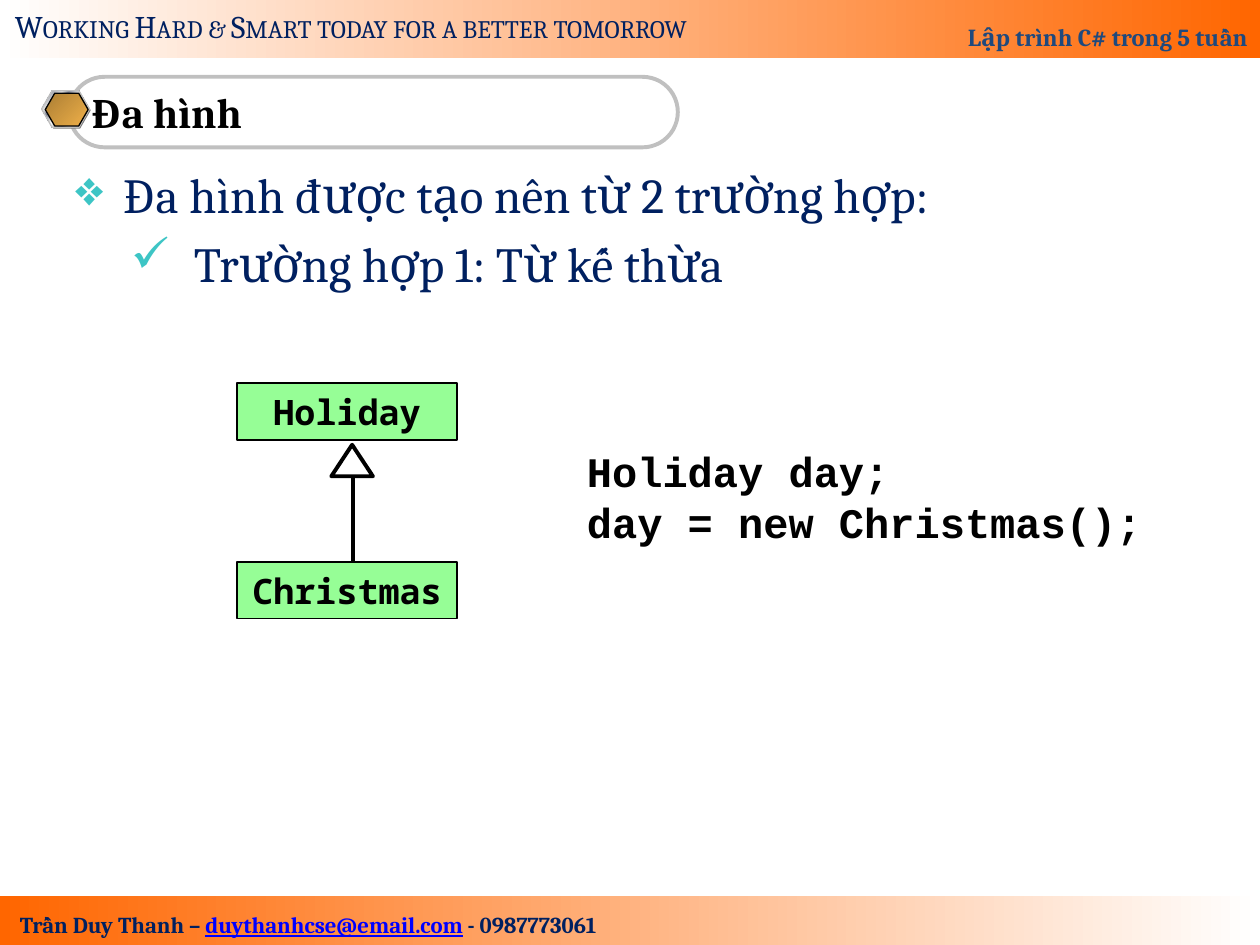
import dataclasses
import typing

import lxml.etree
import pptx
import pptx.dml.color
import pptx.enum.shapes
import pptx.enum.text
import pptx.oxml.ns
import pptx.util

SHAPES = pptx.enum.shapes.MSO_SHAPE
ALIGN = pptx.enum.text.PP_ALIGN
ANCHOR = pptx.enum.text.MSO_ANCHOR
CELL = 0.1  # the grid has 100 columns and 75 rows
qn = pptx.oxml.ns.qn

NAVY, BLACK, ORANGE, WHITE, SILVER = "002060", "000000", "FF6600", "FFFFFF", "C0C0C0"
METAL = [(0, "E6E6E6"), (7, "7D8496"), (26, "E6E6E6"), (34, "7D8496"), (46, "E6E6E6"),
         (50, WHITE), (54, "E6E6E6"), (66, "7D8496"), (74, "E6E6E6"), (93, "7D8496"),
         (100, "E6E6E6")]
Stops = list[tuple[int, str]]


@dataclasses.dataclass
class Frame:
    """A place on the grid, in columns and rows."""
    col: float
    row: float
    cols: float
    rows: float

    def lengths(self) -> list[int]:
        return [grid(n) for n in (self.col, self.row, self.cols, self.rows)]


@dataclasses.dataclass
class Look:
    """Fill, outline and adjustments of a shape."""
    fill: typing.Union[str, Stops, None] = None
    angle: int = 0
    line: typing.Optional[str] = None
    width: float = 1
    adjust: tuple = ()


@dataclasses.dataclass
class Style:
    """Character format."""
    size: float
    name: str = "Cambria"
    color: str = BLACK
    bold: bool = False
    underline: bool = False
    small_caps: bool = False


def grid(cells: float) -> int:
    return pptx.util.Inches(round(cells * CELL, 3))


def rgb(color: str) -> pptx.dml.color.RGBColor:
    return pptx.dml.color.RGBColor.from_string(color)


def set_all(target: typing.Any, values: dict) -> None:
    for key, value in values.items():
        setattr(target, key, value)


def paint_gradient(shape: typing.Any, stops: Stops, angle: int) -> None:
    shape.fill.gradient()
    shape.fill.gradient_angle = -angle % 360
    stop_list = next(shape._element.spPr.iter(qn("a:gsLst")))
    for stop in list(stop_list):
        stop_list.remove(stop)
    for position, color in stops:
        stop = lxml.etree.SubElement(stop_list, qn("a:gs"), pos=str(position * 1000))
        lxml.etree.SubElement(stop, qn("a:srgbClr"), val=color)


def draw_shape(page: typing.Any, kind: typing.Any, frame: Frame, look: Look) -> typing.Any:
    shape = page.shapes.add_shape(kind, *frame.lengths())
    shape.shadow.inherit = False
    for index, value in enumerate(look.adjust):
        shape.adjustments[index] = value
    if look.fill is None:
        shape.fill.background()
    elif isinstance(look.fill, str):
        shape.fill.solid()
        shape.fill.fore_color.rgb = rgb(look.fill)
    else:
        paint_gradient(shape, look.fill, look.angle)
    if look.line:
        shape.line.color.rgb = rgb(look.line)
        shape.line.width = pptx.util.Pt(look.width)
    else:
        shape.line.fill.background()
    return shape


def add_span(para: typing.Any, text: str, style: Style) -> None:
    span = para.add_run()
    span.text = text
    set_all(span.font, {"size": pptx.util.Pt(style.size), "name": style.name,
                        "bold": style.bold, "underline": style.underline})
    span.font.color.rgb = rgb(style.color)
    if style.small_caps:
        span._r.get_or_add_rPr().set("cap", "small")


def write(box: typing.Any, paras: list, wrap: bool = True, anchor: typing.Any = ANCHOR.TOP,
          **para_format: typing.Any) -> None:
    """Fill a box with paragraphs, each a list of (text, style) pairs."""
    set_all(box.text_frame, {"auto_size": pptx.enum.text.MSO_AUTO_SIZE.NONE,
                             "word_wrap": wrap, "vertical_anchor": anchor})
    for index, spans in enumerate(paras):
        para = box.text_frame.add_paragraph() if index else box.text_frame.paragraphs[0]
        set_all(para, {"alignment": ALIGN.LEFT} | para_format)
        for text, style in spans:
            add_span(para, text, style)


def add_bullet(para: typing.Any, level: int, mark: str, margin: float, hang: float) -> None:
    set_all(para, {"level": level, "space_before": pptx.util.Pt(5.6)})
    props = para._p.get_or_add_pPr()
    props.set("marL", str(grid(margin)))
    props.set("indent", str(-grid(hang)))
    color = lxml.etree.SubElement(props, qn("a:buClr"))
    lxml.etree.SubElement(color, qn("a:srgbClr"), val="3DC5C5")
    lxml.etree.SubElement(props, qn("a:buChar"), char=mark)


def draw_bands(page: typing.Any) -> None:
    footer = Frame(0, 71.1, 100, 3.9)
    draw_shape(page, SHAPES.RECTANGLE, footer, Look([(0, ORANGE), (100, WHITE)]))
    header = draw_shape(page, SHAPES.RECTANGLE, Frame(0, 0, 100, 4.6),
                        Look([(0, WHITE), (100, ORANGE)]))
    course = Style(14, color="1F497D", bold=True)
    write(header, [[("Lập trình C# trong 5 tuần", course)]], anchor=ANCHOR.BOTTOM,
          alignment=ALIGN.RIGHT, line_spacing=1.8)

    author = Style(13, color=NAVY, bold=True)
    address = dataclasses.replace(author, color="0000FF", underline=True)
    contact = page.shapes.add_textbox(*Frame(0, 71.8, 48.9, 3.2).lengths())
    write(contact, [[("Trần Duy Thanh – ", author), ("duythanhcse@email.com", address),
                     (" - 0987773061", author)]], wrap=False, alignment=ALIGN.CENTER)

    motto = page.shapes.add_textbox(*Frame(0.2, 0.1, 59, 4).lengths())
    write(motto, [[("Working Hard & Smart today for a better tomorrow",
                    Style(18, color=NAVY, small_caps=True))]], wrap=False)


def draw_title(page: typing.Any) -> None:
    pill = Frame(5.5, 6.1, 48.3, 5.6)
    draw_shape(page, SHAPES.ROUNDED_RECTANGLE, pill, Look(None, 0, SILVER, 2.25, (0.5,)))
    title = page.shapes.title
    sides = Frame(pill.col + 0.8, pill.row, pill.cols - 1.6, pill.rows).lengths()
    set_all(title, dict(zip(("left", "top", "width", "height"), sides)))
    write(title, [[("Đa hình", Style(24, bold=True))]], wrap=False, anchor=ANCHOR.MIDDLE)

    # Hexagon badge: shadow, metal rim, golden face
    slant = (0.289, 1.155)
    for frame, look in (
        (Frame(3.4, 7.3, 3.8, 2.9), Look("808080", adjust=slant)),
        (Frame(3.3, 7.2, 3.8, 2.9), Look(METAL, 45, SILVER, 0.75, slant)),
        (Frame(3.6, 7.4, 3.4, 2.6),
         Look([(0, "AB7E34"), (100, "EFB049")], 45, BLACK, 0.75, slant)),
    ):
        draw_shape(page, SHAPES.HEXAGON, frame, look)


def draw_body(page: typing.Any) -> None:
    point = Style(28, color=NAVY)
    body = page.shapes.add_textbox(*Frame(5, 12.6, 90, 57.4).lengths())
    write(body, [[("Đa hình được tạo nên từ 2 trường hợp:", point)],
                 [("Trường hợp 1: Từ kế thừa", point)]])
    bullets = ((0, "❖", 3.8, 3.8), (1, "✓", 9.4, 5))
    for para, bullet in zip(body.text_frame.paragraphs, bullets):
        add_bullet(para, *bullet)

    code = Style(24, "Courier New", bold=True)
    sample = page.shapes.add_textbox(*Frame(45.6, 34.9, 46, 9).lengths())
    write(sample, [[("Holiday day;", code)], [("day = new Christmas();", code)]])


def draw_inheritance(page: typing.Any) -> None:
    stem = page.shapes.add_connector(pptx.enum.shapes.MSO_CONNECTOR.STRAIGHT,
                                     grid(28), grid(44.5), grid(28), grid(37.8))
    stem.line.color.rgb = rgb(BLACK)
    stem.line.width = pptx.util.Pt(2.25)
    lxml.etree.SubElement(stem._element.spPr, qn("a:effectLst"))
    draw_shape(page, SHAPES.ISOSCELES_TRIANGLE, Frame(26.3, 35.3, 3.3, 2.5),
               Look(WHITE, line=BLACK, width=2.25))
    for name, row in (("Holiday", 30.4), ("Christmas", 44.6)):
        box = draw_shape(page, SHAPES.RECTANGLE, Frame(18.8, row, 17.5, 4.5),
                         Look("96FE96", line=BLACK))
        write(box, [[(name, Style(20, "Noto Sans Mono", bold=True))]],
              anchor=ANCHOR.MIDDLE, alignment=ALIGN.CENTER)


def main() -> None:
    deck = pptx.Presentation()
    set_all(deck, {"slide_width": grid(100), "slide_height": grid(75)})
    page = deck.slides.add_slide(deck.slide_layouts.get_by_name("Title Only"))
    for draw in (draw_bands, draw_title, draw_body, draw_inheritance):
        draw(page)
    deck.save("out.pptx")


if __name__ == "__main__":
    main()
